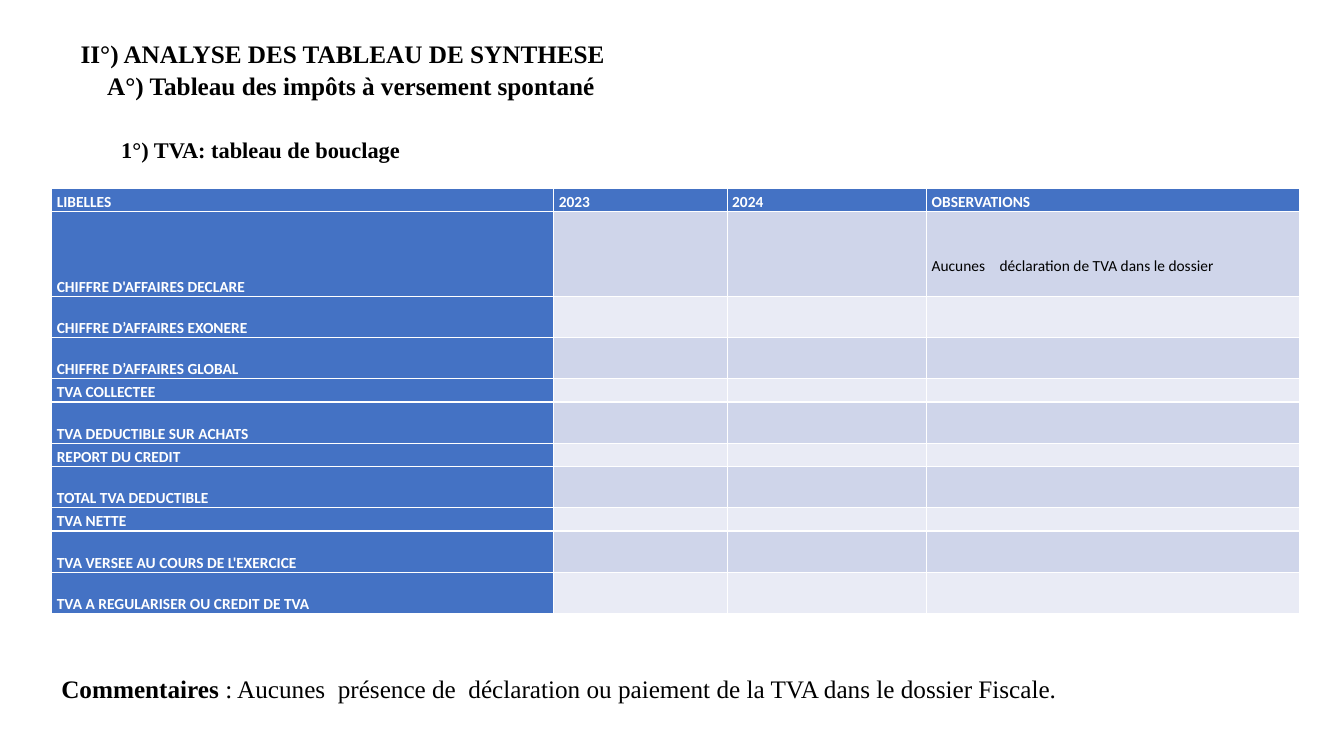
from lxml.etree import SubElement
from pptx import Presentation
from pptx.dml.color import RGBColor
from pptx.enum.text import MSO_ANCHOR
from pptx.oxml.ns import qn
from pptx.util import Pt

COLORS = {"text": "000000", "label": "FFFFFF", "header": "4472C4",
          "odd": "CFD5EA", "even": "E9EBF5"}
SERIF, SANS = "Times New Roman", "Calibri"
SHORT, MEDIUM, TALL = 16.56, 29.52, 60.48

HEADINGS = [
    ("II°) ANALYSE DES TABLEAU DE SYNTHESE", {"size": 18, "indent": 75}),
    ("A°) Tableau des impôts à versement spontané", {"size": 18, "indent": 94}),
    ("1°) TVA: tableau de bouclage", {"size": 16, "indent": 104, "before": 24, "after": 8}),
]
COLUMNS = [("LIBELLES", 358.56), ("2023", 123.84), ("2024", 142.56), ("OBSERVATIONS", 266.4)]
ROWS = [
    ("CHIFFRE D'AFFAIRES DECLARE", TALL),
    ("CHIFFRE D’AFFAIRES EXONERE", MEDIUM),
    ("CHIFFRE D’AFFAIRES GLOBAL", MEDIUM),
    ("TVA COLLECTEE", SHORT),
    ("TVA DEDUCTIBLE SUR ACHATS", MEDIUM),
    ("REPORT DU CREDIT", SHORT),
    ("TOTAL TVA DEDUCTIBLE", MEDIUM),
    ("TVA NETTE", SHORT),
    ("TVA VERSEE AU COURS DE L'EXERCICE", MEDIUM),
    ("TVA A REGULARISER OU CREDIT DE TVA", MEDIUM),
]
OBSERVATION = "Aucunes\tdéclaration de TVA dans le dossier"
COMMENT = [
    ("Commentaires", True),
    (" : Aucunes  présence de  déclaration ou paiement de la TVA dans le dossier Fiscale.", False),
]


def write(paragraph, text, size=11, font=SANS, color="text", bold=True,
          indent=0, before=0, after=0, tab=0):
    paragraph.line_spacing = 1.07
    paragraph.space_before, paragraph.space_after = Pt(before), Pt(after)
    properties = paragraph._p.get_or_add_pPr()
    if indent:
        properties.set("marL", str(Pt(indent)))
        properties.set("indent", "0")
    if tab:
        stops = SubElement(properties, qn("a:tabLst"))
        SubElement(stops, qn("a:tab"), pos=str(Pt(tab)), algn="l")
    if not text:
        SubElement(paragraph._p, qn("a:endParaRPr"), sz=str(size * 100))
        return
    run = paragraph.add_run()
    run.text = text
    run.font.size, run.font.name, run.font.bold = Pt(size), font, bold
    run.font.color.rgb = RGBColor.from_string(COLORS[color])


def add_frame(slide, left, top, width, height):
    frame = slide.shapes.add_textbox(Pt(left), Pt(top), Pt(width), Pt(height)).text_frame
    frame.word_wrap = True
    return frame


def fill_cell(cell, text, fill, bottom=0, **style):
    cell.fill.solid()
    cell.fill.fore_color.rgb = RGBColor.from_string(COLORS[fill])
    cell.vertical_anchor = MSO_ANCHOR.BOTTOM
    cell.margin_left = cell.margin_right = Pt(3.6)
    cell.margin_top, cell.margin_bottom = Pt(0), Pt(bottom)
    write(cell.text_frame.paragraphs[0], text, after=8, **style)


def main():
    presentation = Presentation()
    presentation.slide_width, presentation.slide_height = Pt(960), Pt(540)
    slide = presentation.slides.add_slide(presentation.slide_layouts[6])

    headings = add_frame(slide, -24.5, 22.3, 779.8, 99.4)
    for index, (heading, style) in enumerate(HEADINGS):
        paragraph = headings.add_paragraph() if index else headings.paragraphs[0]
        write(paragraph, heading, font=SERIF, **style)

    heights = [SHORT] + [height for _, height in ROWS]
    widths = [width for _, width in COLUMNS]
    vat = slide.shapes.add_table(len(heights), len(widths), Pt(37), Pt(134.6),
                                 Pt(sum(widths)), Pt(sum(heights))).table
    for column, width in zip(vat.columns, widths):
        column.width = Pt(width)
    for row, height in zip(vat.rows, heights):
        row.height = Pt(height)
    for column, (title, _) in enumerate(COLUMNS):
        fill_cell(vat.cell(0, column), title, "header", color="label")
    for row, (label, _) in enumerate(ROWS, 1):
        fill_cell(vat.cell(row, 0), label, "header", color="label")
        band = "odd" if row % 2 else "even"
        for column in range(1, len(COLUMNS)):
            if (row, column) == (1, 3):
                fill_cell(vat.cell(row, column), OBSERVATION, band,
                          bottom=15, bold=False, tab=48.5)
            else:
                fill_cell(vat.cell(row, column), "", band)

    comment = add_frame(slide, 36.7, 475.9, 733.7, 29.5).paragraphs[0]
    for text, bold in COMMENT:
        write(comment, text, size=18, font=SERIF, bold=bold, after=8)

    presentation.save("out.pptx")


if __name__ == "__main__":
    main()
